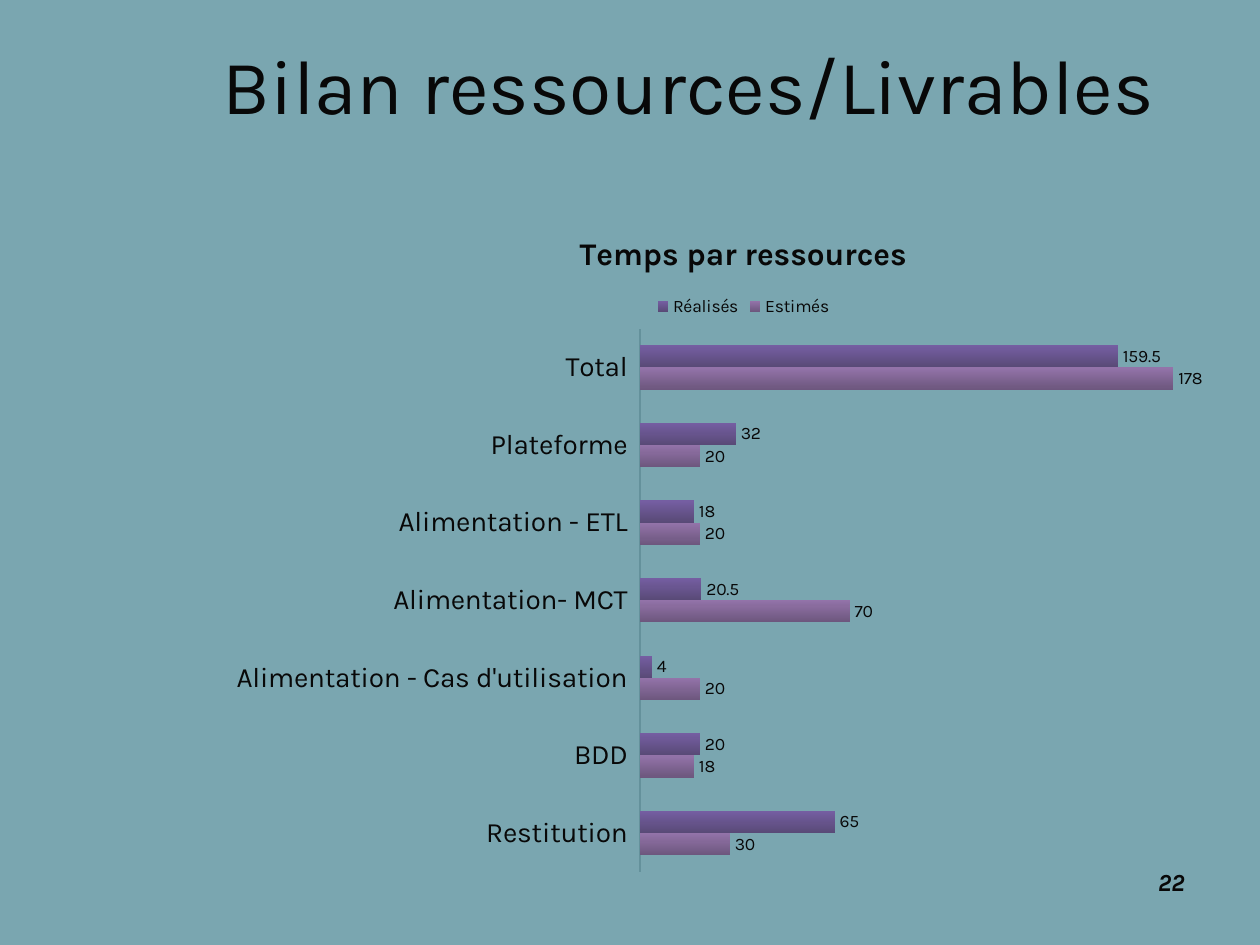
from lxml import etree
from pptx import Presentation
from pptx.chart.data import CategoryChartData
from pptx.dml.color import RGBColor
from pptx.enum.chart import XL_CHART_TYPE, XL_LABEL_POSITION, XL_LEGEND_POSITION, XL_TICK_LABEL_POSITION, XL_TICK_MARK
from pptx.enum.text import MSO_ANCHOR, PP_ALIGN
from pptx.oxml.ns import qn
from pptx.util import Pt

COLOURS = {
    "background": "7AA6B0",
    "text": "080808",
    "axis": "64919B",
    "estimated": ("9373A9", "6D577E"),
    "actual": ("755EA2", "594A77"),
}
CATEGORIES = [
    "Restitution",
    "BDD",
    "Alimentation - Cas d'utilisation",
    "Alimentation- MCT",
    "Alimentation - ETL",
    "Plateforme",
    "Total",
]
SERIES = [
    ("Estimés", (30, 18, 20, 70, 20, 20, 178), "estimated"),
    ("Réalisés", (65, 20, 4, 20.5, 18, 32, 159.5), "actual"),
]


def rgb(name):
    return RGBColor.from_string(COLOURS[name])


def format_font(font, size, bold=False, italic=False):
    font.name = "Karla"
    font.size = Pt(size)
    font.bold = bold
    font.italic = italic
    font.color.rgb = rgb("text")


def write_text(text_frame, text, size, align=PP_ALIGN.LEFT, **style):
    paragraph = text_frame.paragraphs[0]
    paragraph.alignment = align
    run = paragraph.add_run()
    run.text = text
    format_font(run.font, size, **style)


class SlideBuilder:
    def __init__(self, presentation):
        self.slide = presentation.slides.add_slide(presentation.slide_layouts[6])
        fill = self.slide.background.fill
        fill.solid()
        fill.fore_color.rgb = rgb("background")

    def text(self, box, text, size, anchor=MSO_ANCHOR.TOP, **style):
        shape = self.slide.shapes.add_textbox(*map(Pt, box))
        shape.text_frame.word_wrap = True
        shape.text_frame.vertical_anchor = anchor
        write_text(shape.text_frame, text, size, **style)

    def bar_chart(self, box, title, categories, series_list, plot_area):
        data = CategoryChartData()
        data.categories = categories
        for name, values, _ in series_list:
            data.add_series(name, values)
        chart = self.slide.shapes.add_chart(
            XL_CHART_TYPE.BAR_CLUSTERED, *map(Pt, box), data
        ).chart
        format_font(chart.font, 10)
        chart.has_title = True
        write_text(chart.chart_title.text_frame, title, 18, align=PP_ALIGN.CENTER, bold=True)
        chart.chart_title.include_in_layout = False
        chart.has_legend = True
        chart.legend.position = XL_LEGEND_POSITION.TOP
        chart.legend.include_in_layout = False
        format_font(chart.legend.font, 10)
        self.style_axes(chart)
        self.style_series(chart, series_list)
        self.place_plot(chart, plot_area)

    def style_axes(self, chart):
        category_axis = chart.category_axis
        category_axis.major_tick_mark = XL_TICK_MARK.NONE
        category_axis.tick_label_position = XL_TICK_LABEL_POSITION.LOW
        category_axis.format.line.color.rgb = rgb("axis")
        category_axis.format.line.width = Pt(0.75)
        format_font(category_axis.tick_labels.font, 16)
        value_axis = chart.value_axis
        value_axis.minimum_scale = 0
        value_axis.maximum_scale = 200
        value_axis.has_major_gridlines = False
        value_axis.visible = False

    def style_series(self, chart, series_list):
        plot = chart.plots[0]
        plot.vary_by_categories = False
        plot.gap_width = 150
        plot.overlap = 0
        for series, (_, _, colour) in zip(plot.series, series_list):
            fill = series.format.fill
            fill.gradient()
            fill.gradient_angle = 270
            for stop, value in zip(fill.gradient_stops, COLOURS[colour]):
                stop.color.rgb = RGBColor.from_string(value)
            series.format.line.fill.background()
            labels = series.data_labels
            labels.show_value = True
            labels.position = XL_LABEL_POSITION.OUTSIDE_END
            format_font(labels.font, 10)

    def place_plot(self, chart, plot_area):
        area = chart.plots[0]._element.getparent()
        for old_layout in area.findall(qn("c:layout")):
            area.remove(old_layout)
        layout = etree.Element(qn("c:layout"))
        area.insert(0, layout)
        manual = etree.SubElement(layout, qn("c:manualLayout"))
        settings = {"layoutTarget": "inner", "xMode": "edge", "yMode": "edge"}
        settings.update(zip("xywh", plot_area))
        for tag, value in settings.items():
            etree.SubElement(manual, qn(f"c:{tag}"), val=str(value))


def main():
    presentation = Presentation()
    presentation.slide_width = Pt(720)
    presentation.slide_height = Pt(540)
    builder = SlideBuilder(presentation)
    builder.text((120, 6, 581, 84), "Bilan ressources/Livrables", 44, anchor=MSO_ANCHOR.MIDDLE)
    builder.bar_chart(
        (129.6, 118, 590.4, 388),
        "Temps par ressources",
        CATEGORIES,
        SERIES,
        plot_area=(0.4, 0.18, 0.58, 0.8),
    )
    builder.text((516, 492, 168, 37.5), "22", 14, align=PP_ALIGN.RIGHT, bold=True, italic=True)
    presentation.save("out.pptx")


if __name__ == "__main__":
    main()
